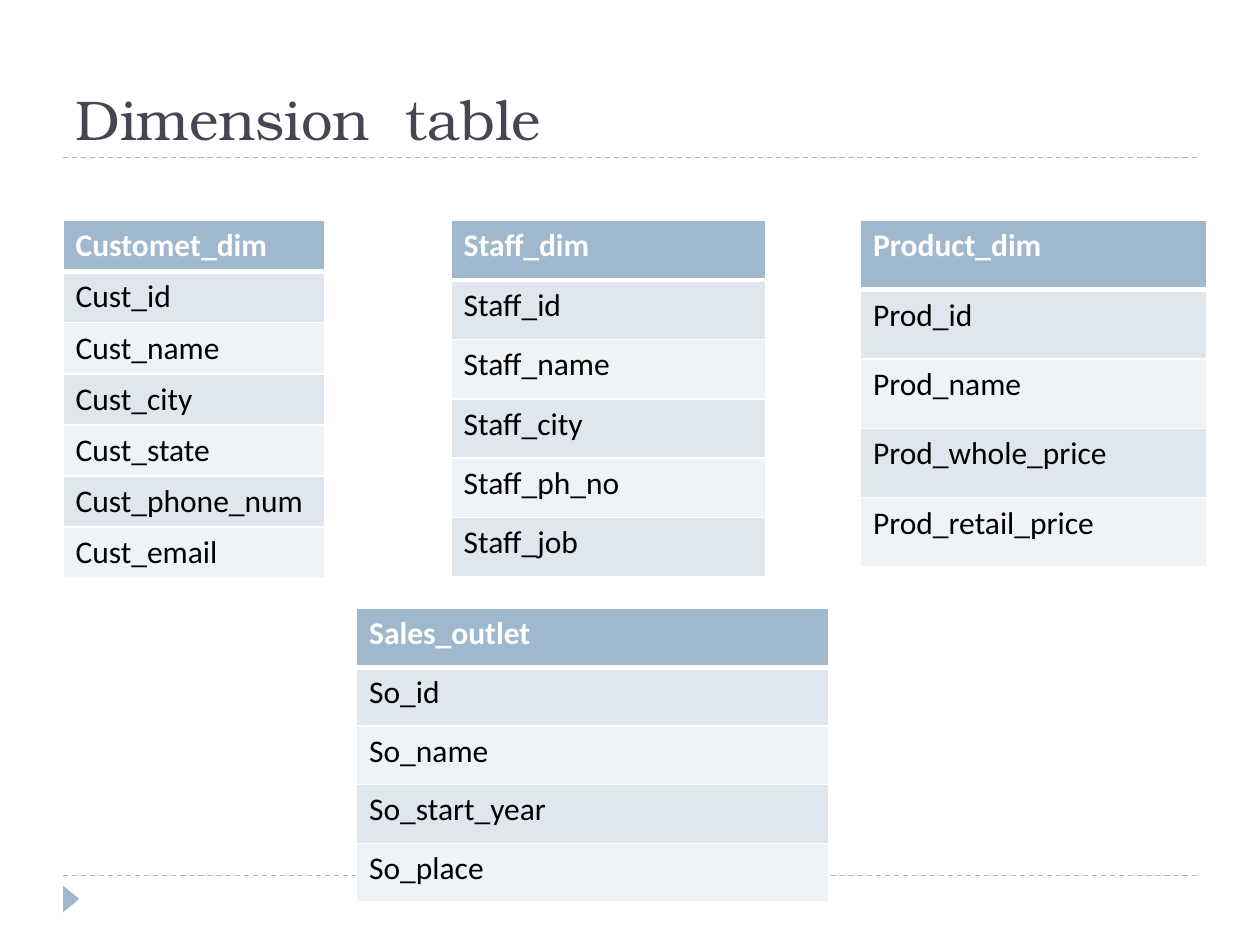
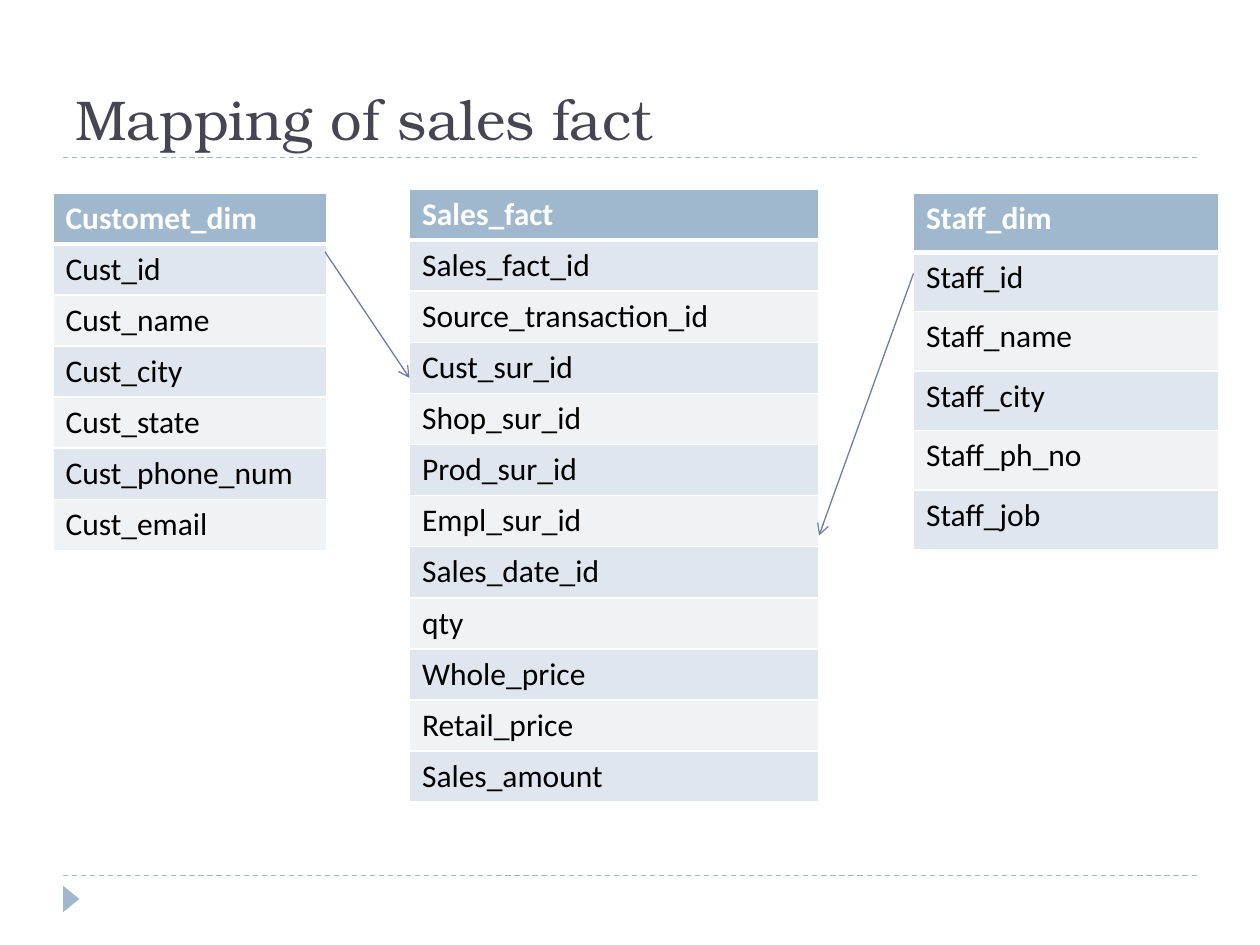
from pptx import Presentation
from pptx import util as u
from pptx.dml.color import RGBColor
from pptx.enum import dml, shapes, text
from pptx.oxml import ns, xmlchemy


class Theme:
    accent = RGBColor.from_string("9FB8CD")
    arrow = RGBColor.from_string("727CA3")
    heading = RGBColor.from_string("464653")
    ink = RGBColor.from_string("000000")
    white = RGBColor.from_string("FFFFFF")
    bands = [RGBColor.from_string("F0F3F6"), RGBColor.from_string("DFE6ED")]
    title_font, title_size = "TeX Gyre Bonum", u.Pt(32)
    body_font, body_size = "Calibri", u.Pt(18)
    line_width = u.Pt(0.75)
    thin_border, thick_border = u.Pt(1), u.Pt(3)


def add_line(page, start, end, color):
    points = [u.Inches(value) for value in (*start, *end)]
    line = page.shapes.add_connector(shapes.MSO_CONNECTOR.STRAIGHT, *points)
    line.line.color.rgb = color
    line.line.width = Theme.line_width
    properties = line.line._get_or_add_ln().getparent()
    properties.append(xmlchemy.OxmlElement("a:effectLst"))
    return line


def add_entity(page, names, left, top, width, height):
    area = [u.Inches(value) for value in (left, top, width, height)]
    table = page.shapes.add_table(len(names), 1, *area).table
    for index, name in enumerate(names):
        table.rows[index].height = u.Inches(height / len(names))
        cell = table.cell(index, 0)
        cell.text = name
        cell.fill.solid()
        cell.fill.fore_color.rgb = Theme.bands[index % 2] if index else Theme.accent
        font = cell.text_frame.paragraphs[0].font
        font.name, font.size, font.bold = Theme.body_font, Theme.body_size, index == 0
        font.color.rgb = Theme.ink if index else Theme.white

        properties = cell._tc.get_or_add_tcPr()
        for position, side in enumerate("LRTB"):
            beside_header = (index, side) in [(0, "B"), (1, "T")]
            border = xmlchemy.OxmlElement(f"a:ln{side}")
            border.set("w", str(Theme.thick_border if beside_header else Theme.thin_border))
            fill = xmlchemy.OxmlElement("a:solidFill")
            color = xmlchemy.OxmlElement("a:srgbClr")
            color.set("val", str(Theme.white))
            fill.append(color)
            border.append(fill)
            properties.insert(position, border)


customer = ["Customet_dim", "Cust_id", "Cust_name", "Cust_city", "Cust_state",
            "Cust_phone_num", "Cust_email"]
staff = ["Staff_dim", "Staff_id", "Staff_name", "Staff_city", "Staff_ph_no", "Staff_job"]
product = ["Product_dim", "Prod_id", "Prod_name", "Prod_whole_price", "Prod_retail_price"]
outlet = ["Sales_outlet", "So_id", "So_name", "So_start_year", "So_place"]
sales = ["Sales_fact", "Sales_fact_id", "Source_transaction_id", "Cust_sur_id",
         "Shop_sur_id", "Prod_sur_id", "Empl_sur_id", "Sales_date_id", "qty",
         "Whole_price", "Retail_price", "Sales_amount"]

content = [
    ("Dimension  table",
     [(customer, 0.5, 1.75, 2.08, 2.84),
      (staff, 3.58, 1.75, 2.5, 2.83),
      (product, 6.83, 1.75, 2.75, 2.75),
      (outlet, 2.83, 4.83, 3.75, 2.33)],
     []),
    ("Mapping of sales fact",
     [(sales, 3.25, 1.5, 3.25, 4.87),
      (customer, 0.42, 1.53, 2.17, 2.84),
      (staff, 7.25, 1.53, 2.42, 2.83)],
     [((2.58, 2), (3.25, 3)), ((7.25, 2.17), (6.5, 4.25))]),
]

deck = Presentation()
deck.slide_width, deck.slide_height = u.Inches(10), u.Inches(7.5)

for title, entities, arrows in content:
    page = deck.slides.add_slide(deck.slide_layouts[6])
    page.background.fill.solid()
    page.background.fill.fore_color.rgb = Theme.white

    for height in (6.95, 1.25):
        rule = add_line(page, (0.5, height), (9.5, height), Theme.accent)
        rule.line.dash_style = dml.MSO_LINE.DASH

    marker = page.shapes.add_shape(
        shapes.MSO_SHAPE.ISOSCELES_TRIANGLE,
        u.Inches(0.46), u.Inches(7.07), u.Inches(0.21), u.Inches(0.13))
    marker.rotation = 90
    marker.shadow.inherit = False
    marker.fill.solid()
    marker.fill.fore_color.rgb = Theme.accent
    marker.line.fill.background()

    box = page.shapes.add_textbox(u.Inches(0.5), u.Inches(0.17), u.Inches(9), u.Inches(1.08))
    frame = box.text_frame
    frame.word_wrap = True
    frame.vertical_anchor = text.MSO_ANCHOR.BOTTOM
    para = frame.paragraphs[0]
    para.text = title
    para.font.name, para.font.size = Theme.title_font, Theme.title_size
    para.font.color.rgb = Theme.heading

    for entity in entities:
        add_entity(page, *entity)

    for start, end in arrows:
        arrow = add_line(page, start, end, Theme.arrow)
        head = xmlchemy.OxmlElement("a:tailEnd")
        head.set("type", "arrow")
        arrow.line._get_or_add_ln().append(head)

deck.save("out.pptx")
